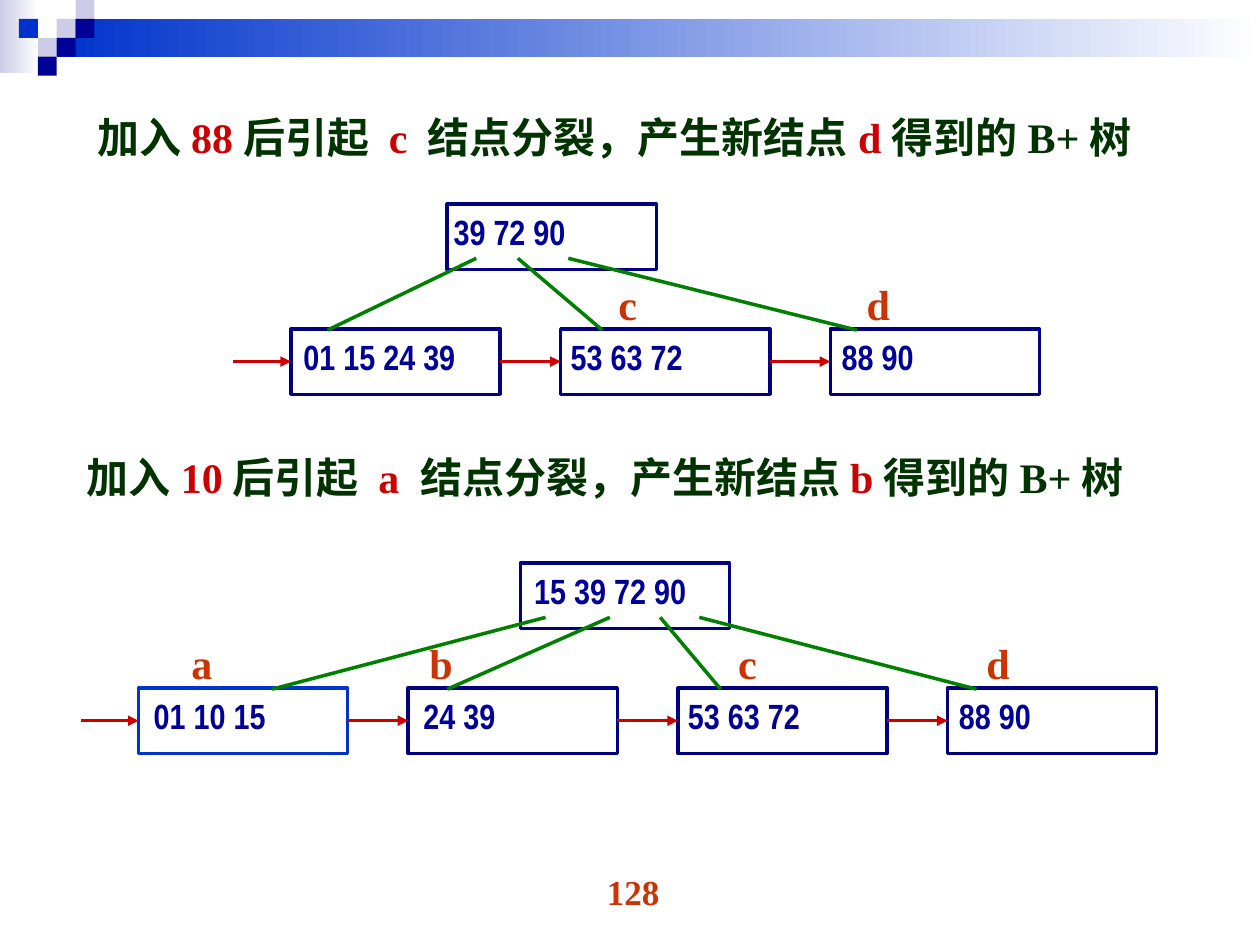
from pptx import Presentation
from pptx.dml.color import RGBColor
from pptx.enum.shapes import MSO_CONNECTOR, MSO_SHAPE
from pptx.enum.text import MSO_ANCHOR, MSO_AUTO_SIZE, PP_ALIGN
from pptx.oxml.ns import qn
from pptx.util import Inches, Pt
from lxml.etree import SubElement

NAVY, BLUE, LILAC, WHITE = "000099", "0033CC", "CCCCE6", "FFFFFF"
OUTLINE, RED, GREEN, ORANGE, DARK_GREEN = "000080", "CC0000", "008000", "CC3300", "003300"

HEADING_FONT = {"name": "Times New Roman", "size": Pt(24), "bold": True}
KEY_FONT = {"name": "Arial Narrow", "size": Pt(20), "bold": True}
NUMBER_FONT = {"name": "Times New Roman", "size": Pt(20), "bold": True}

NODE_WIDTH, NODE_HEIGHT, LEAF_TOP, LEAF_PITCH = 1.66, 0.52, 0.99, 2.14

FIRST_TREE = {
    "root": (1.7, "39 72 90", 0.05),
    "leaves": [("01 15 24 39", 0.1, OUTLINE), ("53 63 72", 0.08, OUTLINE),
               ("88 90", 0.09, OUTLINE)],
    "branches": [(1.93, 0.75), (2.26, 2.93), (2.66, 4.95)],
    "letters": [("c", 2.96), ("d", 4.93)],
}
SECOND_TREE = {
    "root": (3.49, "15 39 72 90", 0.11),
    "leaves": [("01 10 15", 0.12, BLUE), ("24 39", 0.12, OUTLINE),
               ("53 63 72", 0.08, OUTLINE), ("88 90", 0.09, OUTLINE)],
    "branches": [(3.69, 1.52), (4.2, 2.91), (4.6, 5.08), (4.91, 7.11)],
    "letters": [("a", 0.78), ("b", 2.67), ("c", 5.12), ("d", 7.09)],
}


def color(hex_string):
    return RGBColor.from_string(hex_string)


def add_run(paragraph, text, font_format, hex_string):
    run = paragraph.add_run()
    run.text = text
    for attribute, value in font_format.items():
        setattr(run.font, attribute, value)
    run.font.color.rgb = color(hex_string)


def add_text(slide, left, top, width, height, text, font_format, hex_string, wrap):
    box = slide.shapes.add_textbox(Inches(left), Inches(top), Inches(width), Inches(height))
    box.text_frame.word_wrap = wrap
    paragraph = box.text_frame.paragraphs[0]
    add_run(paragraph, text, font_format, hex_string)
    return paragraph


def add_rectangle(slide, left, top, width, height):
    shape = slide.shapes.add_shape(MSO_SHAPE.RECTANGLE, Inches(left), Inches(top),
                                   Inches(width), Inches(height))
    shape.shadow.inherit = False
    return shape


def add_line(slide, start, end, hex_string, arrow=False):
    line = slide.shapes.add_connector(MSO_CONNECTOR.STRAIGHT, *map(Inches, start + end))
    line.line.color.rgb = color(hex_string)
    line.line.width = Pt(2)
    if arrow:
        SubElement(line.line._get_or_add_ln(), qn("a:tailEnd"), type="triangle")
    SubElement(line._element.spPr, qn("a:effectLst"))
    return line


def draw_banner(slide, left, top):
    bars = [(0, 0, 0.31, 0.58, LILAC), (0.45, 0.15, 9.55, 0.3, BLUE)]
    for x, y, width, height, start_color in bars:
        bar = add_rectangle(slide, left + x, top + y, width, height)
        bar.fill.gradient()
        bar.fill.gradient_angle = 0
        for stop, hex_string in zip(bar.fill.gradient_stops, (start_color, WHITE)):
            stop.color.rgb = color(hex_string)
        bar.line.fill.background()
    cell = 0.15
    squares = [(3, 1, LILAC), (4, 0, LILAC), (4, 1, NAVY), (2, 2, LILAC),
               (1, 1, BLUE), (3, 2, NAVY), (2, 3, NAVY)]
    for column, row, hex_string in squares:
        square = add_rectangle(slide, left + column * cell, top + row * cell, cell, cell)
        square.fill.solid()
        square.fill.fore_color.rgb = color(hex_string)
        square.line.fill.background()


def fill_heading(shape, left, top, key, full_node, new_node):
    box = {"left": left, "top": top, "width": 8.55, "height": 0.68}
    for attribute, value in box.items():
        setattr(shape, attribute, Inches(value))
    frame = shape.text_frame
    frame_format = {"word_wrap": True, "auto_size": MSO_AUTO_SIZE.NONE,
                    "vertical_anchor": MSO_ANCHOR.TOP}
    for attribute, value in frame_format.items():
        setattr(frame, attribute, value)
    paragraph = frame.paragraphs[0]
    paragraph.alignment = PP_ALIGN.JUSTIFY
    paragraph.line_spacing = 0.9
    parts = ["加入", key, "后引起 ", full_node + " ", "结点分裂，产生新结点", new_node, "得到的B+树"]
    for index, part in enumerate(parts):
        add_run(paragraph, part, HEADING_FONT, RED if index % 2 else DARK_GREEN)


def draw_node(slide, left, top, keys, indent, outline):
    node = add_rectangle(slide, left, top, NODE_WIDTH, NODE_HEIGHT)
    node.fill.background()
    node.line.color.rgb = color(outline)
    node.line.width = Pt(2)
    frame = node.text_frame
    frame_format = {"vertical_anchor": MSO_ANCHOR.TOP, "margin_left": Inches(indent),
                    "margin_right": 0, "word_wrap": True}
    for attribute, value in frame_format.items():
        setattr(frame, attribute, value)
    frame.paragraphs[0].alignment = PP_ALIGN.JUSTIFY
    add_run(frame.paragraphs[0], keys, KEY_FONT, NAVY)
    return node


def draw_tree(slide, left, top, tree):
    root_left, root_keys, root_indent = tree["root"]
    draw_node(slide, left + root_left, top, root_keys, root_indent, OUTLINE)
    leaf_top = top + LEAF_TOP
    middle = leaf_top + NODE_HEIGHT / 2
    previous = None
    for index, (keys, indent, outline) in enumerate(tree["leaves"]):
        leaf_left = left + 0.46 + index * LEAF_PITCH
        leaf = draw_node(slide, leaf_left, leaf_top, keys, indent, outline)
        arrow = add_line(slide, (leaf_left - 0.46, middle), (leaf_left, middle), RED, arrow=True)
        if previous is not None:
            arrow.begin_connect(previous, 3)
        arrow.end_connect(leaf, 1)
        previous = leaf
    for start, end in tree["branches"]:
        add_line(slide, (left + start, top + 0.43), (left + end, leaf_top + 0.01), GREEN)
    for letter, letter_left in tree["letters"]:
        add_text(slide, left + letter_left, top + 0.54, 0.37, 0.5, letter,
                 HEADING_FONT, ORANGE, False)


def main():
    presentation = Presentation()
    presentation.slide_width, presentation.slide_height = Inches(10), Inches(7.5)
    slide = presentation.slides.add_slide(presentation.slide_layouts[5])
    draw_banner(slide, 0, 0)
    fill_heading(slide.shapes.title, 0.67, 0.88, "88", "c", "d")
    draw_tree(slide, 1.85, 1.62, FIRST_TREE)
    second_heading = slide.shapes.add_textbox(0, 0, 0, 0)
    fill_heading(second_heading, 0.59, 3.58, "10", "a", "b")
    draw_tree(slide, 0.64, 4.47, SECOND_TREE)
    number = add_text(slide, 3.86, 6.86, 2.33, 0.52, "128", NUMBER_FONT, ORANGE, True)
    number.alignment = PP_ALIGN.CENTER
    presentation.save("out.pptx")


if __name__ == "__main__":
    main()
